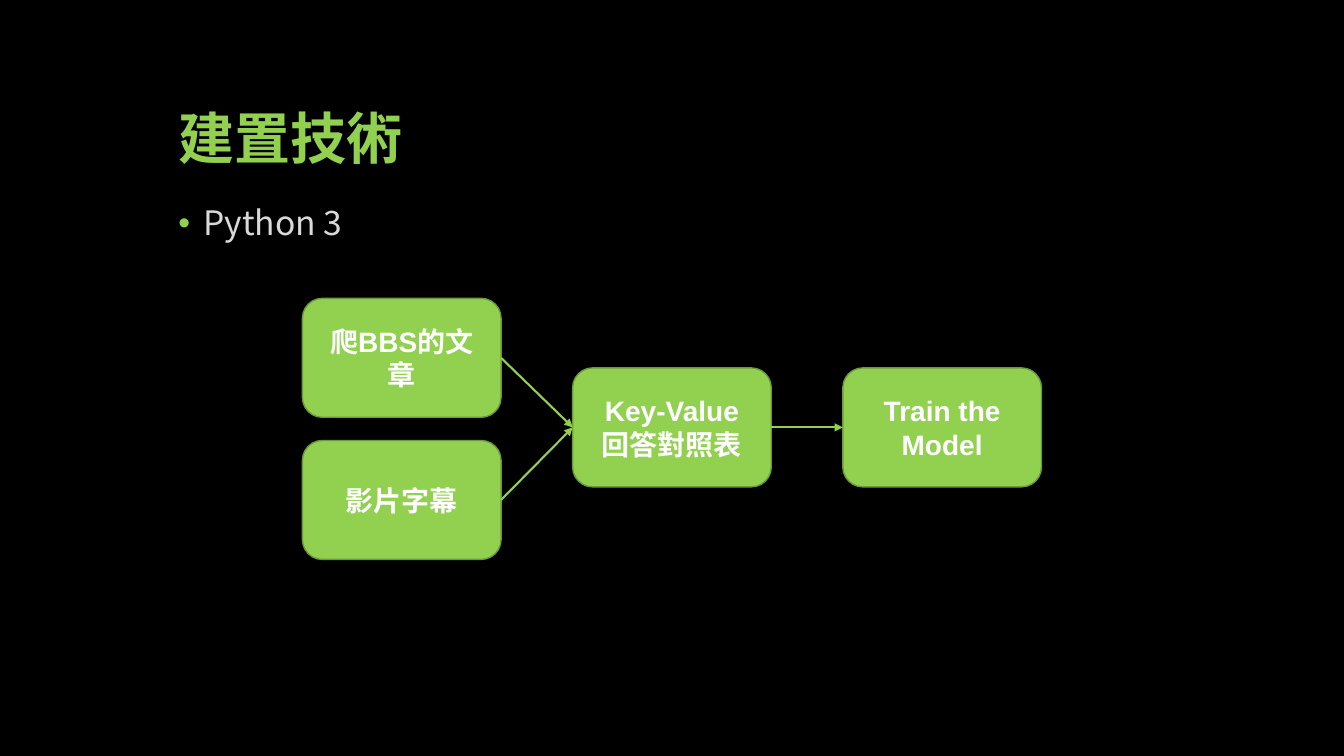
import pptx
import pptx.dml.color
import pptx.enum.shapes
import pptx.enum.text
import pptx.oxml
import pptx.oxml.ns
import pptx.util
from pptx.util import Inches

COLORS = {
    "background": "000000",
    "green": "92D050",
    "outline": "6C9A3B",
    "white": "FFFFFF",
    "body": "D9D9D9",
}
CJK_FONT = "Noto Sans CJK TC"
BOX_FONT = "Arial"
BOX_W, BOX_H = 1.97, 1.18
COLUMNS = [3 + 2.68 * i for i in range(3)]
TOP_ROW, MIDDLE_ROW, BOTTOM_ROW = 2.96, 3.65, 4.37
LEFT_SIDE, RIGHT_SIDE = 1, 3


def rgb(name):
    return pptx.dml.color.RGBColor.from_string(COLORS[name])


def add_xml(parent, xml):
    """Append a DrawingML element, written without its namespace declaration."""
    tag, rest = xml[:-2].split(" ", 1) if " " in xml else (xml[:-2], "")
    ns = pptx.oxml.ns.nsdecls("a")
    parent.append(pptx.oxml.parse_xml(f"{tag} {ns} {rest}/>"))


class FlowSlide:
    """Holds the current slide and its dark green style."""

    def __init__(self, prs):
        self.s = prs.slides.add_slide(prs.slide_layouts[6])
        fill = self.s.background.fill
        fill.solid()
        fill.fore_color.rgb = rgb("background")

    def add_run(self, p, text, size, font, color, bold=False):
        r = p.add_run()
        r.text = text
        r.font.size = pptx.util.Pt(size)
        r.font.bold = bold
        r.font.color.rgb = rgb(color)
        r.font.name = font
        add_xml(r.font._element, f'<a:ea typeface="{CJK_FONT}"/>')

    def text(self, top, height, text, size, color, bold=False, bullet=False):
        sp = self.s.shapes.add_textbox(
            Inches(1.67), Inches(top), Inches(10), Inches(height))
        tf = sp.text_frame
        tf.word_wrap = True
        anchor = pptx.enum.text.MSO_ANCHOR
        tf.vertical_anchor = anchor.TOP if bullet else anchor.BOTTOM
        p = tf.paragraphs[0]
        if bullet:
            pPr = p._p.get_or_add_pPr()
            pPr.set("marL", str(Inches(0.25)))
            pPr.set("indent", str(Inches(-0.25)))
            clr = pptx.oxml.ns.nsdecls("a")
            pPr.append(pptx.oxml.parse_xml(
                f'<a:buClr {clr}><a:srgbClr val="{COLORS["green"]}"/></a:buClr>'))
            add_xml(pPr, '<a:buFont typeface="Arial"/>')
            add_xml(pPr, '<a:buChar char="•"/>')
        p.line_spacing = 0.9
        self.add_run(p, text, size, CJK_FONT, color, bold)

    def box(self, left, top, *lines):
        sp = self.s.shapes.add_shape(
            pptx.enum.shapes.MSO_SHAPE.ROUNDED_RECTANGLE,
            Inches(left), Inches(top), Inches(BOX_W), Inches(BOX_H))
        sp.shadow.inherit = False
        sp.fill.solid()
        sp.fill.fore_color.rgb = rgb("green")
        sp.line.color.rgb = rgb("outline")
        sp.line.width = pptx.util.Pt(1)
        tf = sp.text_frame
        tf.word_wrap = True
        tf.vertical_anchor = pptx.enum.text.MSO_ANCHOR.MIDDLE
        for i, line in enumerate(lines):
            p = tf.add_paragraph() if i else tf.paragraphs[0]
            p.alignment = pptx.enum.text.PP_ALIGN.CENTER
            self.add_run(p, line, 20, BOX_FONT, "white", bold=True)
        return sp

    def arrow(self, source, target):
        """Join the right side of source to the left side of target."""
        c = self.s.shapes.add_connector(
            pptx.enum.shapes.MSO_CONNECTOR.STRAIGHT, 0, 0, 0, 0)
        c.begin_connect(source, RIGHT_SIDE)
        c.end_connect(target, LEFT_SIDE)
        c.line.color.rgb = rgb("green")
        c.line.width = pptx.util.Pt(1.5)
        add_xml(c.line._get_or_add_ln(), '<a:tailEnd type="triangle"/>')
        add_xml(c._element.spPr, "<a:effectLst/>")


def main():
    prs = pptx.Presentation()
    prs.slide_width, prs.slide_height = Inches(13.33), Inches(7.5)

    slide = FlowSlide(prs)
    slide.text(0.5, 1.25, "建置技術", 40, "green", bold=True)
    slide.text(2, 0.57, "Python 3", 24, "body", bullet=True)

    subtitles = slide.box(COLUMNS[0], BOTTOM_ROW, "影片字幕")
    articles = slide.box(COLUMNS[0], TOP_ROW, "爬BBS的文章")
    answers = slide.box(COLUMNS[1], MIDDLE_ROW, "Key-Value", "回答對照表")
    training = slide.box(COLUMNS[2], MIDDLE_ROW, "Train the Model")

    for source, target in [(articles, answers), (subtitles, answers),
                           (answers, training)]:
        slide.arrow(source, target)

    prs.save("out.pptx")


if __name__ == "__main__":
    main()
